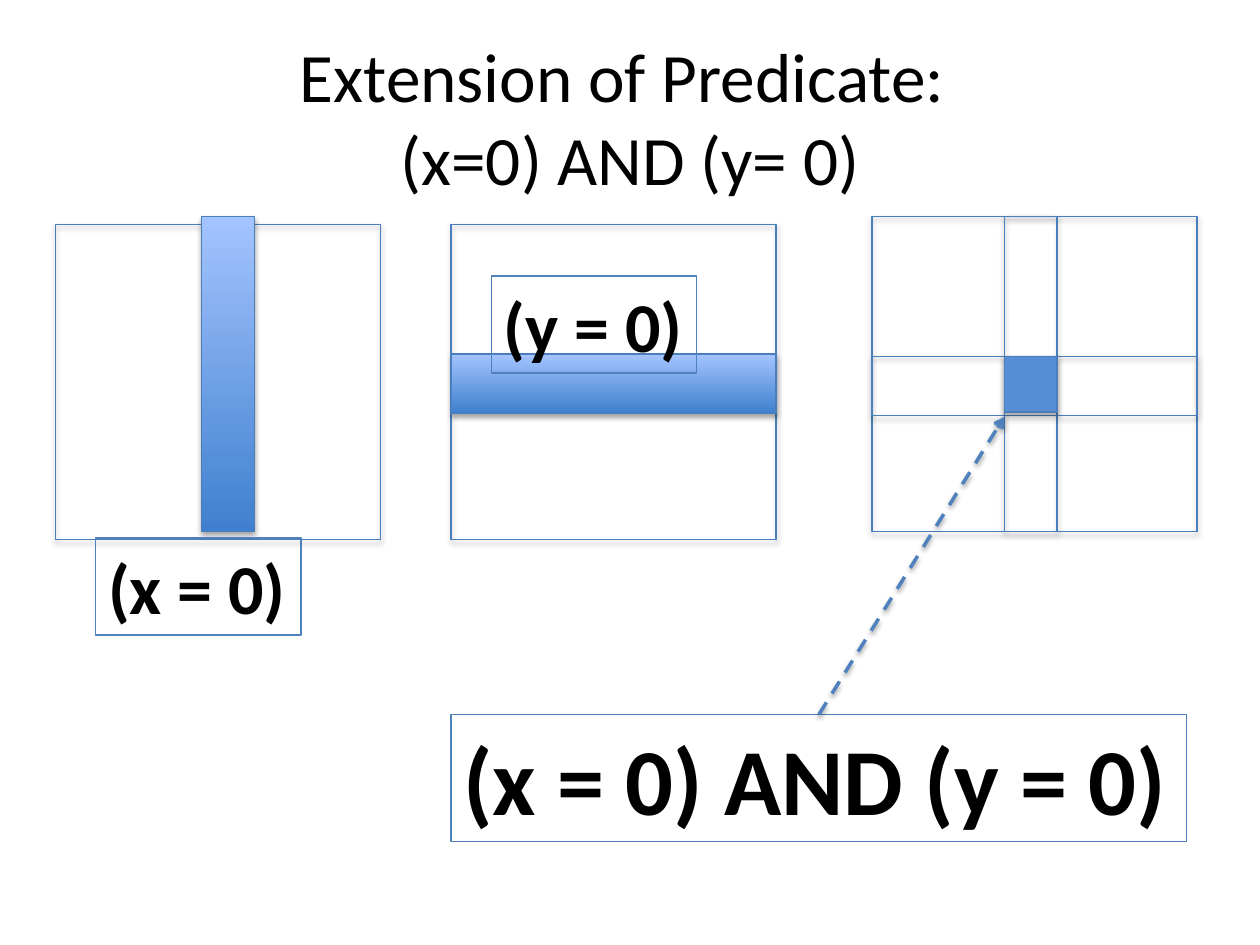
from dataclasses import dataclass

from lxml import etree
from pptx import Presentation
from pptx.dml.color import RGBColor
from pptx.enum.dml import MSO_LINE
from pptx.enum.shapes import MSO_CONNECTOR, MSO_SHAPE
from pptx.enum.text import MSO_ANCHOR, MSO_AUTO_SIZE, PP_ALIGN
from pptx.oxml.ns import qn
from pptx.util import Inches, Pt

RECTANGLE = MSO_SHAPE.RECTANGLE
STRAIGHT = MSO_CONNECTOR.STRAIGHT
DASH = MSO_LINE.DASH
MIDDLE = MSO_ANCHOR.MIDDLE
CENTER, LEFT = PP_ALIGN.CENTER, PP_ALIGN.LEFT
NO_FIT, GROW = MSO_AUTO_SIZE.NONE, MSO_AUTO_SIZE.SHAPE_TO_FIT_TEXT

COLUMNS, ROWS = 10, 7.5
WIDTH, HEIGHT = Inches(10), Inches(7.5)
PANEL_WIDTH, PANEL_HEIGHT = 2.58, 2.5
BAND_WIDTH, BAND_HEIGHT = 0.42, 0.47
X_PANEL, Y_PANEL, BOTH_PANEL = 0.44, 3.58, 6.92
PANEL_TOP, RAISED_TOP = 1.78, 1.72
CROSS_LEFT, CROSS_TOP, CROSS_HEIGHT = 7.97, 2.83, 0.44
ANSWER_TOP = 5.67


@dataclass(frozen=True)
class Theme:
    """Colours, font and type sizes of the slide."""
    font: str = "Calibri"
    text: str = "000000"
    outline: str = "4B7EBC"
    accent: str = "4F81BD"
    overlap: str = "558ED5"
    gradient: tuple = ("3F80CE", "A4C4FF")
    title_size: float = 39.6
    label_size: float = 40
    answer_size: float = 54


THEME = Theme()


def rgb(value):
    """Turn a hex string into a colour."""
    return RGBColor.from_string(value)


def across(columns):
    """Convert grid columns to a horizontal length."""
    return int(WIDTH * columns / COLUMNS)


def down(rows):
    """Convert grid rows to a vertical length."""
    return int(HEIGHT * rows / ROWS)


def place(left, top, width, height):
    """Convert a grid area to a position and size."""
    return across(left), down(top), across(width), down(height)


def add_span(para, text, size, bold=False):
    """Add one formatted run to a paragraph."""
    span = para.add_run()
    span.text = text
    span.font.name = THEME.font
    span.font.size = Pt(size)
    span.font.bold = bold
    span.font.color.rgb = rgb(THEME.text)


def add_shadow(properties, blur, distance, opacity):
    """Cast a soft black shadow straight down."""
    effects = properties.find(qn("a:effectLst"))
    if effects is None:
        effects = etree.SubElement(properties, qn("a:effectLst"))
    shadow = etree.SubElement(
        effects, qn("a:outerShdw"), blurRad=str(Pt(blur)),
        dist=str(Pt(distance)), dir="5400000", rotWithShape="0")
    color = etree.SubElement(shadow, qn("a:srgbClr"), val="000000")
    etree.SubElement(color, qn("a:alpha"), val=str(opacity * 1000))


def add_box(page, area, outline):
    """Add an unfilled outlined rectangle without a shadow."""
    box = page.shapes.add_shape(RECTANGLE, *place(*area))
    box.fill.background()
    box.line.color.rgb = rgb(outline)
    box.line.width = Pt(0.75)
    box.shadow.inherit = False
    return box


def add_region(page, *area):
    """Add an outlined region with a soft shadow."""
    box = add_box(page, area, THEME.outline)
    add_shadow(box._element.spPr, 3.1, 1.8, 35)
    return box


def add_gradient_band(page, *area):
    """Add a region shaded from dark at the bottom to light at the top."""
    fill = add_region(page, *area).fill
    fill.gradient()
    fill.gradient_angle = 90
    for stop, color in zip(fill.gradient_stops, THEME.gradient):
        stop.color.rgb = rgb(color)


def add_label(page, text, size, *area):
    """Add a bold predicate in an outlined box."""
    frame = add_box(page, area, THEME.accent).text_frame
    frame.word_wrap = False
    frame.auto_size = GROW
    frame.vertical_anchor = MSO_ANCHOR.TOP
    para = frame.paragraphs[0]
    para.alignment = LEFT
    add_span(para, text, size, bold=True)


def add_dashed_arrow(page, start, end):
    """Add a dashed arrow between two grid points."""
    arrow = page.shapes.add_connector(
        STRAIGHT, across(start[0]), down(start[1]), across(end[0]), down(end[1]))
    arrow.line.color.rgb = rgb(THEME.accent)
    arrow.line.width = Pt(2)
    arrow.line.dash_style = DASH
    properties = arrow._element.spPr
    etree.SubElement(properties.find(qn("a:ln")), qn("a:tailEnd"), type="arrow")
    add_shadow(properties, 3.1, 1.6, 38)


def set_title(page, *lines):
    """Place the title and write its lines."""
    title = page.shapes.title
    title.left, title.top, title.width, title.height = place(0.5, 0.3, 9, 1.25)
    frame = title.text_frame
    frame.word_wrap = True
    frame.auto_size = NO_FIT
    frame.vertical_anchor = MIDDLE
    para = frame.paragraphs[0]
    para.alignment = CENTER
    for index, line in enumerate(lines):
        if index:
            para.add_line_break()
        add_span(para, line, THEME.title_size)


def main():
    """Build the slide and save it."""
    deck = Presentation()
    deck.slide_width, deck.slide_height = WIDTH, HEIGHT
    page = deck.slides.add_slide(deck.slide_layouts[5])
    set_title(page, "Extension of Predicate: ", "(x=0) AND (y= 0)")

    add_region(page, X_PANEL, PANEL_TOP, PANEL_WIDTH, PANEL_HEIGHT)
    add_gradient_band(page, 1.6, RAISED_TOP, BAND_WIDTH, PANEL_HEIGHT)
    add_region(page, Y_PANEL, PANEL_TOP, PANEL_WIDTH, PANEL_HEIGHT)
    add_gradient_band(page, Y_PANEL, 2.81, PANEL_WIDTH, BAND_HEIGHT)

    add_region(page, BOTH_PANEL, RAISED_TOP, PANEL_WIDTH, PANEL_HEIGHT)
    add_region(page, CROSS_LEFT, RAISED_TOP, BAND_WIDTH, PANEL_HEIGHT)
    add_region(page, BOTH_PANEL, CROSS_TOP, PANEL_WIDTH, BAND_HEIGHT)
    overlap = add_region(page, CROSS_LEFT, CROSS_TOP, BAND_WIDTH, CROSS_HEIGHT)
    overlap.fill.solid()
    overlap.fill.fore_color.rgb = rgb(THEME.overlap)

    add_label(page, "(x = 0) AND (y = 0)", THEME.answer_size,
              Y_PANEL, ANSWER_TOP, 5.84, 1.01)
    add_dashed_arrow(page, (6.5, ANSWER_TOP), (CROSS_LEFT, 3.31))
    add_label(page, "(x = 0)", THEME.label_size, 0.76, 4.27, 1.63, 0.77)
    add_label(page, "(y = 0)", THEME.label_size, 3.9, 2.19, 1.63, 0.77)
    deck.save("out.pptx")


main()
